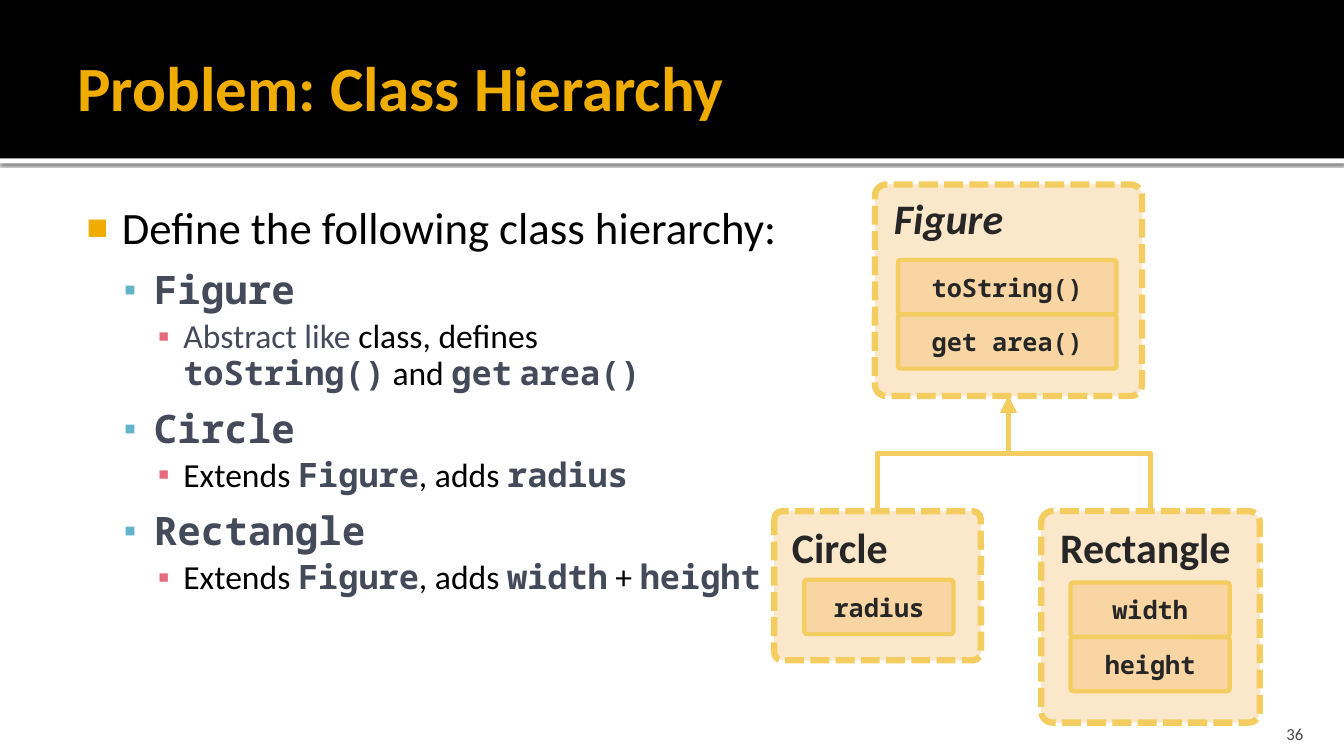
from lxml import etree
from pptx import Presentation
from pptx.dml.color import RGBColor
from pptx.enum.dml import MSO_LINE
from pptx.enum.shapes import MSO_CONNECTOR, MSO_SHAPE
from pptx.enum.text import MSO_ANCHOR, MSO_AUTO_SIZE, PP_ALIGN
from pptx.oxml.ns import qn
from pptx.util import Cm, Pt

RECTANGLE, ROUNDED = MSO_SHAPE.RECTANGLE, MSO_SHAPE.ROUNDED_RECTANGLE
ELBOW = MSO_CONNECTOR.ELBOW
DASHED = MSO_LINE.SQUARE_DOT
TOP, MIDDLE, BOTTOM = MSO_ANCHOR.TOP, MSO_ANCHOR.MIDDLE, MSO_ANCHOR.BOTTOM
LEFT, CENTER, RIGHT = PP_ALIGN.LEFT, PP_ALIGN.CENTER, PP_ALIGN.RIGHT
NO_FIT, GROW = MSO_AUTO_SIZE.NONE, MSO_AUTO_SIZE.SHAPE_TO_FIT_TEXT

SANS, MONO = "Calibri", "Noto Sans Mono"
BLACK, WHITE, SLATE, INK = "000000", "FFFFFF", "444A5A", "262626"
GOLD, AMBER, OUTLINE = "F0AD00", "F0A22E", "F3CD60"
SLIDE_W, SLIDE_H = 33.87, 19.05
MEMBER_H = 1.37

PLAIN = (SANS, BLACK, False)
MUTED = (SANS, SLATE, False)
CODE = (MONO, SLATE, True)
LEVELS = [
    dict(size=32, left=1.22, hang=0.89, before=5, bullet="■", tint=GOLD, scale=80),
    dict(size=28, left=2.03, hang=0.76, before=12, bullet="▪", tint="60B5CC", scale=90),
    dict(size=24, left=2.77, hang=0.64, before=4.8, bullet="▪", tint="E66C7D", scale=100),
]
OUTLINE_TEXT = [
    (0, [("Define the following class hierarchy:", PLAIN)]),
    (1, [("Figure", CODE)]),
    (2, [("Abstract like ", MUTED), ("class, defines", PLAIN), None,
         ("toString()", CODE), (" and ", PLAIN), ("get", CODE),
         (" ", PLAIN), ("area()", CODE)]),
    (1, [("Circle", CODE)]),
    (2, [("Еxtends ", PLAIN), ("Figure", CODE), (", adds ", PLAIN), ("radius", CODE)]),
    (1, [("Rectangle", CODE)]),
    (2, [("Еxtends ", PLAIN), ("Figure", CODE), (", adds ", PLAIN), ("width", CODE),
         (" + ", PLAIN), ("height", CODE)]),
]


def rgb(value):
    return RGBColor.from_string(value)


def add_xml(parent, tag, **attributes):
    child = etree.SubElement(parent, qn(tag))
    for name, value in attributes.items():
        child.set(name, str(value))
    return child


def place(shape, box):
    shape.left, shape.top, shape.width, shape.height = map(Cm, box)


def set_frame(frame, anchor, insets, wrap=True, fit=NO_FIT):
    frame.word_wrap, frame.auto_size, frame.vertical_anchor = wrap, fit, anchor
    (frame.margin_left, frame.margin_top,
     frame.margin_right, frame.margin_bottom) = map(Cm, insets)


def add_run(paragraph, text, size, style, italic=False):
    run = paragraph.add_run()
    run.text = text
    font = run.font
    font.size, font.italic = Pt(size), italic
    font.name, colour, font.bold = style
    font.color.rgb = rgb(colour)


def add_panel(slide, kind, box, fill, line=None, weight=0):
    panel = slide.shapes.add_shape(kind, *map(Cm, box))
    panel.shadow.inherit = False
    panel.fill.solid()
    panel.fill.fore_color.rgb = rgb(fill)
    if line:
        panel.line.color.rgb = rgb(line)
        panel.line.width = Pt(weight)
    else:
        panel.line.fill.background()
    return panel


def add_class_panel(slide, box, weight):
    panel = add_panel(slide, ROUNDED, box, AMBER, OUTLINE, weight)
    panel.adjustments[0] = 0.054
    tint = panel.fill._xPr.find(qn("a:solidFill"))[0]
    add_xml(tint, "a:alpha", val=25000)
    return panel


def draw_header(slide, box):
    left, top, width, height = box
    strip = add_panel(slide, RECTANGLE, (left, top + height, width, 0.13), WHITE)
    effects = strip._element.spPr.find(qn("a:effectLst"))
    shadow = add_xml(effects, "a:outerShdw", blurRad=Pt(2.5), dist=Pt(0.8),
                     dir=5400000, algn="tl", rotWithShape=0)
    add_xml(add_xml(shadow, "a:srgbClr", val=BLACK), "a:alpha", val=60000)
    add_panel(slide, RECTANGLE, box, BLACK)


def fill_title(title, box):
    place(title, box)
    set_frame(title.text_frame, MIDDLE, (0.25, 0.13, 0.13, 0.13))
    heading = title.text_frame.paragraphs[0]
    heading.alignment = LEFT
    add_run(heading, "Problem: Class Hierarchy", 45, (SANS, GOLD, True))


def fill_body(body, box):
    place(body, box)
    frame = body.text_frame
    set_frame(frame, TOP, (0.15, 0.25, 0.25, 0.13))
    for index, (depth, pieces) in enumerate(OUTLINE_TEXT):
        item = frame.add_paragraph() if index else frame.paragraphs[0]
        level = LEVELS[depth]
        item.level, item.alignment = depth, LEFT
        item.line_spacing = 0.9
        item.space_before, item.space_after = Pt(level["before"]), Pt(0)
        props = item._p.get_or_add_pPr()
        props.set("marL", str(Cm(level["left"])))
        props.set("indent", str(-Cm(level["hang"])))
        add_xml(add_xml(props, "a:buClr"), "a:srgbClr", val=level["tint"])
        add_xml(props, "a:buSzPct", val=level["scale"] * 1000)
        add_xml(props, "a:buFont", typeface="Arial")
        add_xml(props, "a:buChar", char=level["bullet"])
        for piece in pieces:
            if piece:
                add_run(item, piece[0], level["size"], piece[1])
            else:
                item.add_line_break()


def draw_class(slide, box, name, label, members, member_box, italic=False):
    left, top = box[:2]
    add_class_panel(slide, box, 4.5).line.dash_style = DASHED
    label_x, label_y, label_w = label
    caption = slide.shapes.add_textbox(
        Cm(left + label_x), Cm(top + label_y), Cm(label_w), Cm(1.55))
    set_frame(caption.text_frame, TOP, (0.25, 0.13, 0.25, 0.13), False, GROW)
    add_run(caption.text_frame.paragraphs[0], name, 30, (SANS, INK, True), italic)
    member_x, member_y, member_w = member_box
    for row, member in enumerate(members):
        cell = add_class_panel(slide, (left + member_x, top + member_y + row * MEMBER_H,
                                       member_w, MEMBER_H), 3)
        set_frame(cell.text_frame, MIDDLE, (0.25, 0.13, 0.25, 0.13))
        entry = cell.text_frame.paragraphs[0]
        entry.alignment = CENTER
        add_run(entry, member, 18, (MONO, INK, True))


def draw_inheritance(slide, child, parent):
    start_x, start_y = child[0] + child[2] / 2, child[1]
    end_x, end_y = parent[0] + parent[2] / 2, parent[1] + parent[3]
    mid_x, mid_y = (start_x + end_x) / 2, (start_y + end_y) / 2
    side = 1 if start_x < end_x else -1
    reach, drop = abs(end_x - start_x) / 2, side * (start_y - end_y) / 2
    arrow = slide.shapes.add_connector(
        ELBOW, Cm(mid_x + drop), Cm(mid_y + reach), Cm(mid_x - drop), Cm(mid_y - reach))
    arrow.rotation_degrees = None
    props = arrow._element.spPr
    props.find(qn("a:xfrm")).set("rot", str((90 if side > 0 else 270) * 60000))
    arrow.line.color.rgb = rgb(OUTLINE)
    arrow.line.width = Pt(4)
    add_xml(props.find(qn("a:ln")), "a:tailEnd", type="triangle")
    add_xml(props, "a:effectLst")


def draw_hierarchy(slide, box):
    left, top = box
    figure = (left + 2.54, top, 6.73, 5.33)
    circle = (left, top + 8.23, 5.21, 3.76)
    rectangle = (left + 6.73, top + 8.23, 5.51, 5.33)
    for child in (circle, rectangle):
        draw_inheritance(slide, child, figure)
    draw_class(slide, figure, "Figure", (0.23, 0.08, 3.3),
               ["toString()", "get area()"], (0.58, 1.9, 5.51), italic=True)
    draw_class(slide, circle, "Circle", (0.2, 0.13, 3.07), ["radius"], (0.76, 1.73, 3.76))
    draw_class(slide, rectangle, "Rectangle", (0.23, 0.13, 5.13),
               ["width", "height"], (0.74, 1.8, 4.01))


def draw_page_number(slide, box):
    number = slide.shapes.add_textbox(*map(Cm, box))
    set_frame(number.text_frame, BOTTOM, (0.25, 0.13, 0.25, 0))
    line = number.text_frame.paragraphs[0]
    line.alignment = RIGHT
    add_run(line, "36", 12, (SANS, "454545", False))


deck = Presentation()
deck.slide_width, deck.slide_height = Cm(SLIDE_W), Cm(SLIDE_H)
slide = deck.slides.add_slide(deck.slide_layouts[1])
title, body = slide.placeholders
draw_header(slide, (0, 0, SLIDE_W, 3.99))
for placeholder in (title, body):
    slide.shapes._spTree.append(placeholder._element)
fill_title(title, (1.7, 0.43, 23.29, 3.48))
fill_body(body, (1.7, 4.93, 30.48, 12.85))
draw_page_number(slide, (30.38, 17.98, 2.72, 0.76))
draw_hierarchy(slide, (19.51, 4.65))
deck.save("out.pptx")
